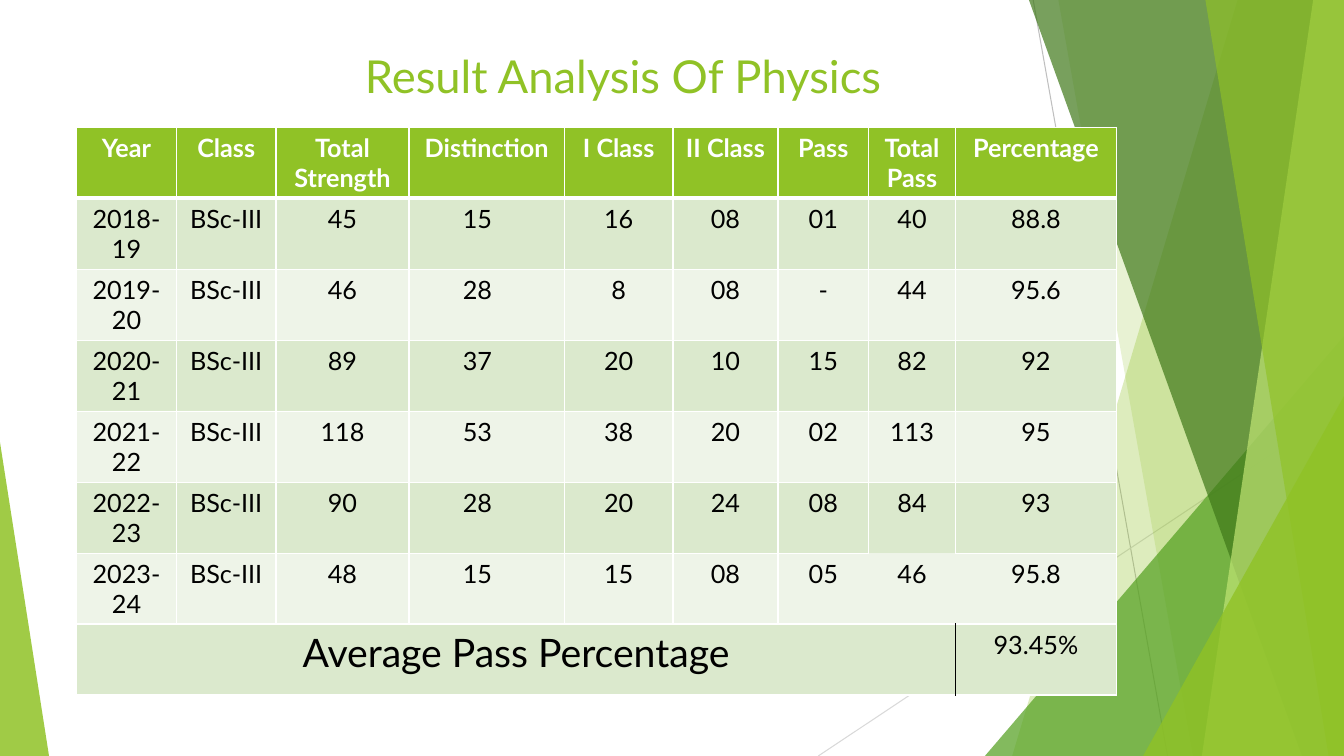
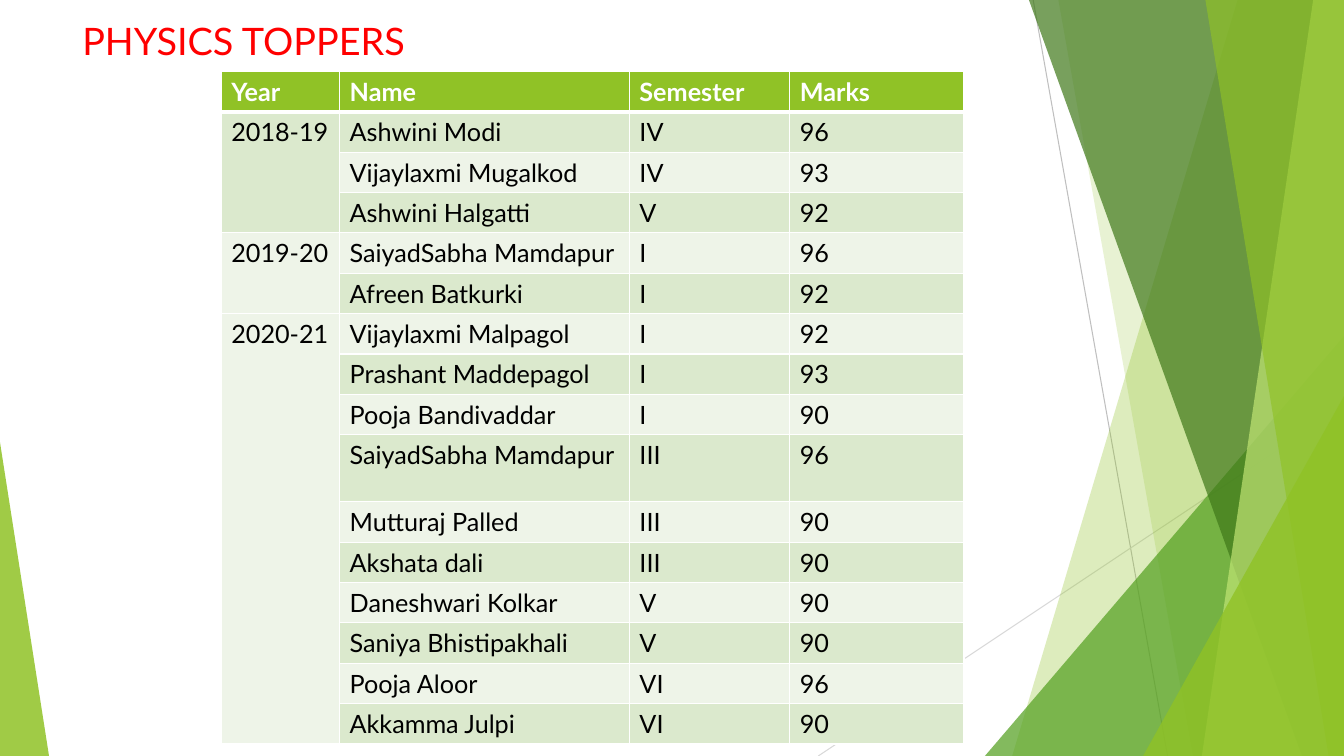
from lxml.etree import SubElement
from pptx import Presentation
from pptx.dml.color import RGBColor
from pptx.enum.shapes import MSO_CONNECTOR, MSO_SHAPE
from pptx.enum.text import MSO_ANCHOR, MSO_AUTO_SIZE, PP_ALIGN
from pptx.oxml.ns import qn
from pptx.util import Pt

WIDTH, HEIGHT = 960, 540
FONT = "Lato"
GREEN, LEAF, FOREST, LIME = "90C226", "54A021", "3F7819", "C0E474"
WHITE, BLACK, RED = "FFFFFF", "000000", "FF0000"
BANDS = ("EEF4E8", "DBE9CD")


def rgb(value):
    return RGBColor.from_string(value)


class Deck:
    """Holds the shared style and the slide being filled."""

    def __init__(self):
        self.deck = Presentation()
        self.deck.slide_width, self.deck.slide_height = Pt(WIDTH), Pt(HEIGHT)
        self.page = None

    def add_page(self, title, place, size, color, inset=(7.2, 3.6)):
        self.page = self.deck.slides.add_slide(self.deck.slide_layouts[5])
        self.backdrop()
        box = self.page.shapes.title
        box.left, box.top, box.width, box.height = map(Pt, place)
        frame = box.text_frame
        frame.text = title
        frame.word_wrap = True
        frame.auto_size = MSO_AUTO_SIZE.NONE
        frame.vertical_anchor = MSO_ANCHOR.MIDDLE
        frame.margin_left, frame.margin_top = map(Pt, inset)
        self.style(frame.paragraphs[0], size, color)

    def style(self, paragraph, size, color, bold=False, align=PP_ALIGN.LEFT):
        paragraph.alignment = align
        font = paragraph.font
        font.name, font.size, font.bold = FONT, Pt(size), bold
        font.color.rgb = rgb(color)

    def backdrop(self):
        self.line((738, 0), (834, 540), "BFBFBF")
        self.line((960, 290), (584.5, 540), "D9D9D9")
        self.band(884, 723, GREEN, 30)
        self.band(756, 852, GREEN, 20)
        self.triangle((703.5, 240, 256.5, 300), 1, LEAF, 72)
        self.band(735, 930, FOREST, 70)
        self.band(938, 858.5, LIME, 70)
        self.band(861, 949, GREEN, 65)
        self.triangle((816.5, 283, 143.5, 257), 1, GREEN, 80)
        self.triangle((0, 316, 35, 224), 0, GREEN, 85)

    def line(self, start, end, color):
        line = self.page.shapes.add_connector(
            MSO_CONNECTOR.STRAIGHT, *map(Pt, start + end))
        line.line.color.rgb = rgb(color)
        line.line.width = Pt(0.75)
        SubElement(line.element.spPr, qn("a:effectLst"))

    def band(self, top_x, bottom_x, color, opacity):
        """Fill from a slanted left edge to the right side of the slide."""
        outline = self.page.shapes.build_freeform(Pt(top_x), 0)
        outline.add_line_segments(
            [(Pt(x), Pt(y)) for x, y in
             ((WIDTH, 0), (WIDTH, HEIGHT), (bottom_x, HEIGHT))])
        self.glaze(outline.convert_to_shape(), color, opacity)

    def triangle(self, place, apex, color, opacity):
        shape = self.page.shapes.add_shape(
            MSO_SHAPE.ISOSCELES_TRIANGLE, *map(Pt, place))
        shape.adjustments[0] = apex
        self.glaze(shape, color, opacity)

    def glaze(self, shape, color, opacity):
        """Give a shape a see-through fill without line or shadow."""
        shape.shadow.inherit = False
        shape.line.fill.background()
        shape.fill.solid()
        shape.fill.fore_color.rgb = rgb(color)
        tint = shape.element.spPr.find(qn("a:solidFill")).find(qn("a:srgbClr"))
        SubElement(tint, qn("a:alpha"), val=str(opacity * 1000))

    def table(self, place, columns, heights, rows, align, edges=None):
        """Draw a banded table; edges maps (row, column, side) to a colour or None."""
        edges = edges or {}
        size = sum(columns), sum(heights)
        table = self.page.shapes.add_table(
            len(rows), len(columns), *map(Pt, place + size)).table
        for column, width in zip(table.columns, columns):
            column.width = Pt(width)
        for row, height in zip(table.rows, heights):
            row.height = Pt(height)
        for i, values in enumerate(rows):
            for j, value in enumerate(values):
                cell = table.cell(i, j)
                for side in "LRTB":
                    heavy = (i, side) in ((0, "B"), (1, "T"))
                    self.edge(cell, side, edges.get((i, j, side), WHITE),
                              3 if heavy else 1)
                cell.fill.solid()
                cell.fill.fore_color.rgb = rgb(BANDS[i % 2] if i else GREEN)
                cell.text = value
                for paragraph in cell.text_frame.paragraphs:
                    self.style(paragraph, 18, BLACK if i else WHITE,
                               bold=i == 0, align=align)
        return table

    def edge(self, cell, side, color, width):
        line = SubElement(cell._tc.get_or_add_tcPr(), qn(f"a:ln{side}"),
                          w=str(Pt(width)))
        if color:
            fill = SubElement(line, qn("a:solidFill"))
            SubElement(fill, qn("a:srgbClr"), val=color)
        else:
            SubElement(line, qn("a:noFill"))


RESULTS = [
    ("Year", "Class", "Total Strength", "Distinction", "I Class", "II Class",
     "Pass", "Total\nPass", "Percentage"),
    ("2018-19", "BSc-III", "45", "15", "16", "08", "01", "40", "88.8"),
    ("2019-20", "BSc-III", "46", "28", "8", "08", "-", "44", "95.6"),
    ("2020-21", "BSc-III", "89", "37", "20", "10", "15", "82", "92"),
    ("2021-22", "BSc-III", "118", "53", "38", "20", "02", "113", "95"),
    ("2022-23", "BSc-III", "90", "28", "20", "24", "08", "84", "93"),
    ("2023-24", "BSc-III", "48", "15", "15", "08", "05", "46", "95.8"),
    ("Average Pass Percentage", *[""] * 7, "93.45%"),
]

TOPPERS = {
    "2018-19": [("Ashwini Modi", "IV", "96"),
                ("Vijaylaxmi Mugalkod", "IV", "93"),
                ("Ashwini Halgatti", "V", "92")],
    "2019-20": [("SaiyadSabha Mamdapur", "I", "96"),
                ("Afreen Batkurki", "I", "92")],
    "2020-21": [("Vijaylaxmi Malpagol", "I", "92"),
                ("Prashant Maddepagol", "I", "93"),
                ("Pooja Bandivaddar", "I", "90"),
                ("SaiyadSabha Mamdapur", "III", "96"),
                ("Mutturaj Palled", "III", "90"),
                ("Akshata dali", "III", "90"),
                ("Daneshwari Kolkar", "V", "90"),
                ("Saniya Bhistipakhali", "V", "90"),
                ("Pooja Aloor", "VI", "96"),
                ("Akkamma Julpi", "VI", "90")],
}


def add_results(deck):
    deck.add_page("Result Analysis Of Physics", (253.5, 29.5, 412.5, 49), 32.4, GREEN)
    open_edges = [(5, 7, "B"), (6, 6, "R"), (6, 8, "L")]
    open_edges += [(6, 7, side) for side in "LRTB"]
    edges = dict.fromkeys(open_edges)
    edges.update({(7, 0, "R"): BLACK, (7, 8, "L"): BLACK})
    table = deck.table(
        (54.8, 91), (71.2, 71.2, 95, 111, 77.6, 75, 64.8, 62, 115),
        [50.7] * len(RESULTS), RESULTS, PP_ALIGN.CENTER, edges)
    for row in range(1, 7):
        distinction = table.cell(row, 3)
        distinction.margin_left = Pt(38.5)
        distinction.text_frame.paragraphs[0].alignment = PP_ALIGN.LEFT
    average = table.cell(7, 0)
    average.merge(table.cell(7, 7))
    average.text_frame.paragraphs[0].font.size = Pt(28)


def add_toppers(deck):
    deck.add_page("PHYSICS TOPPERS", (44.6, 0, 347, 51.8), 27, RED, inset=(14.2, 9))
    rows = [("Year", "Name", "Semester", "Marks")]
    spans = []
    for year, students in TOPPERS.items():
        spans.append((len(rows), len(rows) + len(students) - 1))
        rows += [("" if k else year, *student) for k, student in enumerate(students)]
    heights = [28.8] * len(rows)
    heights[9] = 48
    table = deck.table((158, 51), (84.6, 207, 114.6, 124.4), heights, rows,
                       PP_ALIGN.LEFT)
    for first, last in spans:
        table.cell(first, 0).merge(table.cell(last, 0))


def main():
    deck = Deck()
    add_results(deck)
    add_toppers(deck)
    deck.deck.save("out.pptx")


if __name__ == "__main__":
    main()
